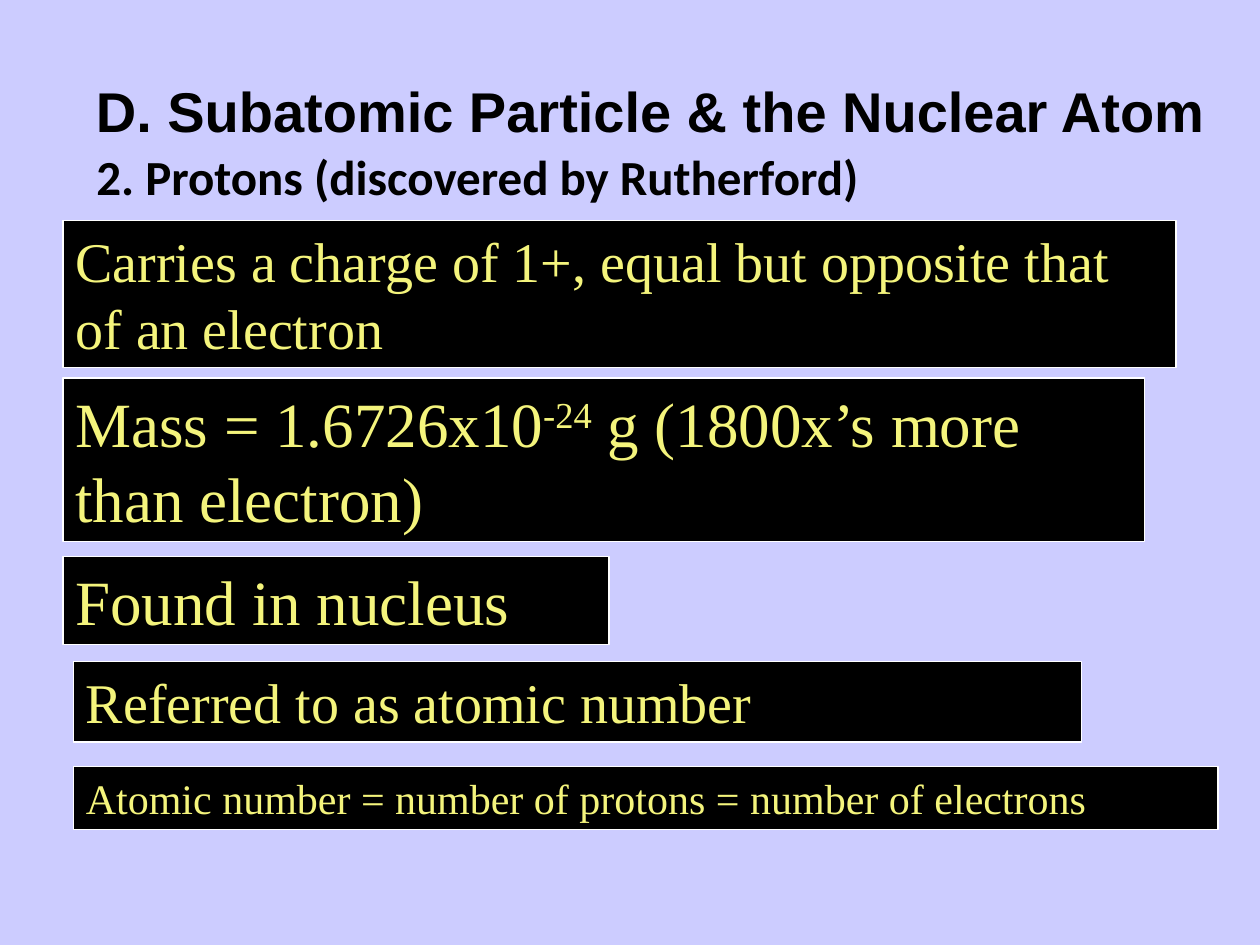
import dataclasses

import pptx
import pptx.dml.color
import pptx.enum.shapes
import pptx.enum.text
import pptx.util

Pt = pptx.util.Pt
Align = pptx.enum.text.PP_ALIGN
Anchor = pptx.enum.text.MSO_ANCHOR
AutoSize = pptx.enum.text.MSO_AUTO_SIZE

BACKGROUND = "CCCCFF"
BLACK = "000000"
WHITE = "FFFFFF"
YELLOW = "F4F47C"
SUPERSCRIPT_MARK = "^"


@dataclasses.dataclass
class Fact:
    text: str
    left: float
    top: float
    width: float
    height: float
    size: float


FACTS = [
    Fact("Carries a charge of 1+, equal but opposite that of an electron", 36, 126, 636, 84, 32),
    Fact("Mass = 1.6726x10^-24^ g (1800x’s more than electron)", 36, 216, 618, 93.6, 36),
    Fact("Found in nucleus", 36, 318, 312, 50.4, 36),
    Fact("Referred to as atomic number", 42, 378, 576, 46, 32),
    Fact("Atomic number = number of protons = number of electrons", 42, 438, 654, 36, 24),
]


def color(value: str) -> pptx.dml.color.RGBColor:
    return pptx.dml.color.RGBColor.from_string(value)


def write_text(shape, text: str, *, font: str, size: float, fill: str = BLACK,
               bold: bool = False, align=Align.LEFT, anchor=Anchor.TOP,
               line_spacing: float = 1.0, auto_size=AutoSize.NONE) -> None:
    frame = shape.text_frame
    frame.word_wrap = True
    frame.auto_size = auto_size
    frame.vertical_anchor = anchor
    paragraph = frame.paragraphs[0]
    paragraph.alignment = align
    paragraph.line_spacing = line_spacing
    for index, part in enumerate(text.split(SUPERSCRIPT_MARK)):
        run = paragraph.add_run()
        run.text = part
        run.font.name = font
        run.font.size = Pt(size)
        run.font.bold = bold
        run.font.color.rgb = color(fill)
        if index % 2:
            run.font._element.set("baseline", "30000")


def add_heading(slide, text: str, left: float, top: float, width: float, height: float,
                **text_format) -> None:
    shape = slide.shapes.add_textbox(Pt(left), Pt(top), Pt(width), Pt(height))
    write_text(shape, text, bold=True, **text_format)


def add_fact(slide, fact: Fact) -> None:
    shape = slide.shapes.add_shape(
        pptx.enum.shapes.MSO_SHAPE.RECTANGLE,
        Pt(fact.left), Pt(fact.top), Pt(fact.width), Pt(fact.height))
    shape.shadow.inherit = False
    shape.fill.solid()
    shape.fill.fore_color.rgb = color(BLACK)
    shape.line.color.rgb = color(WHITE)
    shape.line.width = Pt(0.75)
    write_text(shape, fact.text, font="Times New Roman", size=fact.size, fill=YELLOW,
               auto_size=AutoSize.SHAPE_TO_FIT_TEXT)


def main() -> None:
    presentation = pptx.Presentation()
    presentation.slide_width = Pt(720)
    presentation.slide_height = Pt(540)
    slide = presentation.slides.add_slide(presentation.slide_layouts[6])
    slide.background.fill.solid()
    slide.background.fill.fore_color.rgb = color(BACKGROUND)

    add_heading(slide, "D. Subatomic Particle & the Nuclear Atom", 24, 18, 696, 90,
                font="Arial", size=32, align=Align.CENTER, anchor=Anchor.MIDDLE)
    add_heading(slide, "2. Protons (discovered by Rutherford)", 48, 84, 624, 54,
                font="Calibri", size=28, line_spacing=0.9)
    for fact in FACTS:
        add_fact(slide, fact)

    presentation.save("out.pptx")


if __name__ == "__main__":
    main()
